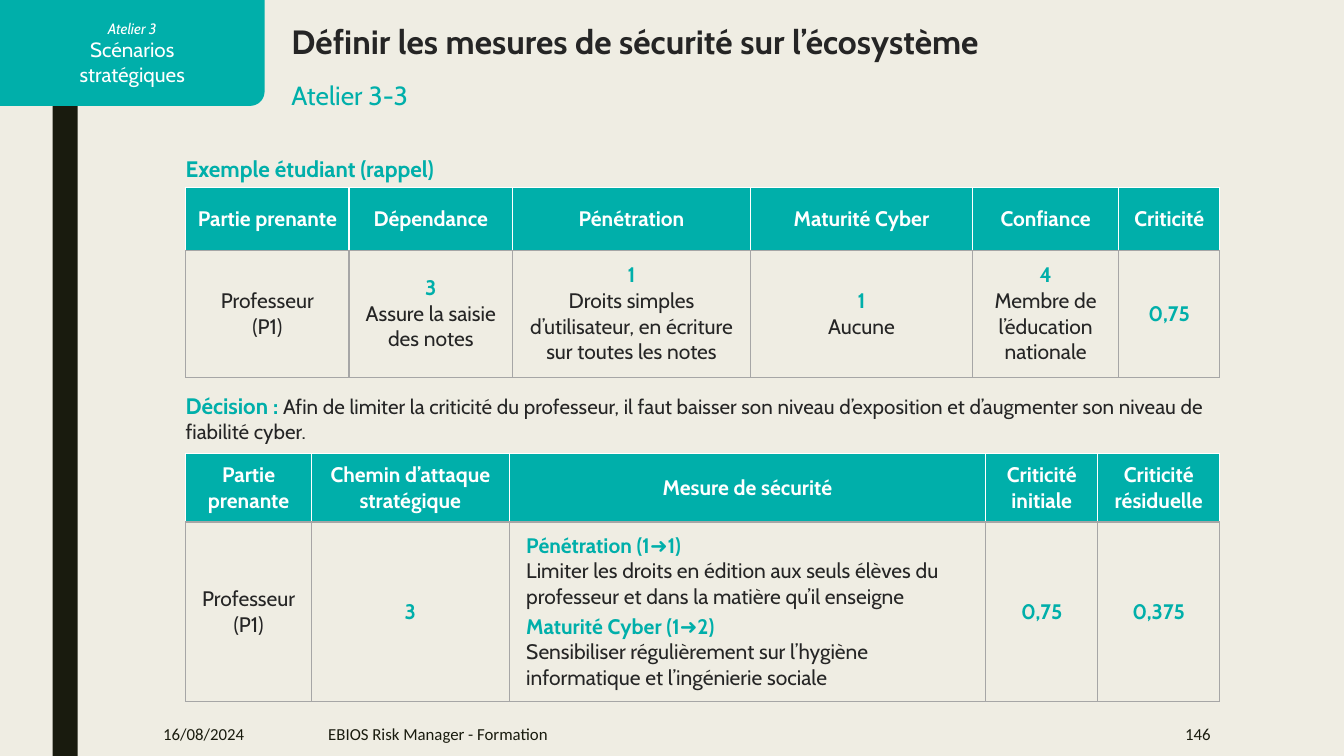
from math import cos, pi, sin

from lxml import etree
from pptx import Presentation
from pptx.dml.color import RGBColor
from pptx.enum.shapes import MSO_SHAPE
from pptx.enum.text import MSO_ANCHOR, MSO_AUTO_SIZE, PP_ALIGN
from pptx.oxml.ns import qn
from pptx.util import Inches, Pt

LEFT, CENTER, RIGHT = PP_ALIGN.LEFT, PP_ALIGN.CENTER, PP_ALIGN.RIGHT
TOP, MIDDLE = MSO_ANCHOR.TOP, MSO_ANCHOR.MIDDLE
NO_AUTOFIT = MSO_AUTO_SIZE.NONE
RECTANGLE = MSO_SHAPE.RECTANGLE

TEAL, INK, BLACK, WHITE, GRAY, CREAM = (
    "00AFAA", "252525", "191B0E", "FFFFFF", "A6A6A6", "EFEDE3")
COLUMNS, ROWS = 160, 90
CONTENT_LEFT, CONTENT_WIDTH = 22.1, 123.1
HEADING_LEFT = 34.7


def color(hex_code):
    return RGBColor.from_string(hex_code)


def span(text, **text_format):
    """A piece of text with the format that sets it apart from its box."""
    return text, text_format


def add_run(paragraph, text, font="Cabin", size=15, fill=INK, bold=False, italic=False):
    for index, line in enumerate(text.split("\n")):
        if index:
            paragraph.add_line_break()
        run = paragraph.add_run()
        run.text = line
        run.font.name, run.font.size = font, Pt(size)
        run.font.bold, run.font.italic = bold, italic
        run.font.color.rgb = color(fill)


def write(frame, paragraphs, align=LEFT, gap=0, **text_format):
    """Write paragraphs, each a string or a list of spans, gap points apart."""
    for index, spans in enumerate(paragraphs):
        paragraph = frame.add_paragraph() if index else frame.paragraphs[0]
        paragraph.alignment = align
        paragraph.space_before = Pt(gap if index else 0)
        for text, own_format in [span(spans)] if isinstance(spans, str) else spans:
            add_run(paragraph, text, **{**text_format, **own_format})


def set_borders(cell, **sides):
    properties = cell._tc.get_or_add_tcPr()
    for index, side in enumerate("LRTB"):
        line = etree.Element(qn("a:ln" + side), w=str(Pt(1)))
        solid = etree.SubElement(line, qn("a:solidFill"))
        etree.SubElement(solid, qn("a:srgbClr"), val=sides.get(side, sides["all"]))
        properties.insert(index, line)


class SlideBuilder:
    """Places elements on a slide, with lengths in grid columns and rows."""

    def __init__(self, presentation):
        self.column = presentation.slide_width / COLUMNS
        self.row = presentation.slide_height / ROWS
        self.slide = presentation.slides.add_slide(presentation.slide_layouts[5])
        background = self.slide.background.fill
        background.solid()
        background.fore_color.rgb = color(CREAM)

    def box(self, left, top, width, height):
        return (round(left * self.column), round(top * self.row),
                round(width * self.column), round(height * self.row))

    def paint(self, shape, fill):
        shape.shadow.inherit = False
        shape.fill.solid()
        shape.fill.fore_color.rgb = color(fill)
        shape.line.fill.background()

    def bar(self, box, fill):
        self.paint(self.slide.shapes.add_shape(RECTANGLE, *self.box(*box)), fill)

    def corner_tab(self, width, height, radius, paragraphs, **text_format):
        """A block in the slide's top left corner, rounded at its lower right."""
        _, _, right, bottom = self.box(0, 0, width, height)
        radius *= self.column
        angles = [step * pi / 24 for step in range(13)]
        arc = [(round(right - radius + radius * cos(angle)),
                round(bottom - radius + radius * sin(angle))) for angle in angles]
        builder = self.slide.shapes.build_freeform(0, 0)
        builder.add_line_segments([(right, 0), *arc, (0, bottom)], close=True)
        tab = builder.convert_to_shape()
        self.paint(tab, TEAL)
        tab.text_frame.vertical_anchor = MIDDLE
        write(tab.text_frame, paragraphs, align=CENTER, **text_format)

    def format_frame(self, frame, paragraphs, inset=0, anchor=TOP, **text_format):
        frame.word_wrap = True
        frame.auto_size = NO_AUTOFIT
        frame.vertical_anchor = anchor
        frame.margin_left = frame.margin_right = Inches(inset)
        frame.margin_top = frame.margin_bottom = Inches(inset / 2)
        write(frame, paragraphs, **text_format)

    def title(self, box, text, **text_format):
        title = self.slide.shapes.title
        title.left, title.top, title.width, title.height = self.box(*box)
        self.format_frame(title.text_frame, [text], **text_format)

    def text(self, box, paragraphs, **text_format):
        shape = self.slide.shapes.add_textbox(*self.box(*box))
        self.format_frame(shape.text_frame, paragraphs, **text_format)

    def table(self, top, heights, weights, headings, values, left_column=None):
        """A heading row above a row of values; weights share out the width."""
        box = self.box(CONTENT_LEFT, top, CONTENT_WIDTH, sum(heights))
        table = self.slide.shapes.add_table(2, len(weights), *box).table
        table.horz_banding = False
        for column, weight in zip(table.columns, weights):
            column.width = round(box[2] * weight / sum(weights))
        for row, height in zip(table.rows, heights):
            row.height = round(height * self.row)
        for index, (heading, value) in enumerate(zip(headings, values)):
            header, body = table.cell(0, index), table.cell(1, index)
            for cell in (header, body):
                cell.vertical_anchor = MIDDLE
                cell.margin_left = cell.margin_right = Inches(0.11)
                cell.margin_top = cell.margin_bottom = Inches(0.06)
            header.fill.solid()
            header.fill.fore_color.rgb = color(TEAL)
            body.fill.background()
            set_borders(header, all=WHITE, B=GRAY)
            set_borders(body, all=GRAY)
            write(header.text_frame, heading.split("\n"), align=CENTER,
                  fill=WHITE, bold=True)
            if index == left_column:
                body.margin_left = Inches(0.17)
                write(body.text_frame, value, gap=3)
            else:
                write(body.text_frame, value, align=CENTER)


def strong(text):
    return span(text, fill=TEAL, bold=True)


def main():
    presentation = Presentation()
    presentation.slide_width, presentation.slide_height = Inches(13.33), Inches(7.5)
    page = SlideBuilder(presentation)

    page.bar((6.25, 0, 3, ROWS), BLACK)
    page.corner_tab(31.5, 12.6, 1.7,
                    [[span("Atelier 3", size=10.7, italic=True)],
                     "Scénarios", "stratégiques"],
                    size=14.7, fill=WHITE)
    page.title((HEADING_LEFT, 2.5, 121, 4.8),
               "Définir les mesures de sécurité sur l’écosystème", size=24, bold=True)
    page.text((HEADING_LEFT, 9.5, 112.7, 3.7), ["Atelier 3-3"], size=18.7, fill=TEAL)

    page.text((CONTENT_LEFT, 18.5, 81, 3.2), [[strong("Exemple étudiant (rappel)")]],
              size=16)
    stakeholder = ["Professeur", "(P1)"]
    page.table(
        22.3, (7.5, 15.1), (1.62, 1.62, 2.36, 2.2, 1.45, 1),
        ["Partie prenante", "Dépendance", "Pénétration", "Maturité Cyber",
         "Confiance", "Criticité"],
        [stakeholder,
         [[strong("3")], "Assure la saisie des notes"],
         [[strong("1")], "Droits simples d’utilisateur, en écriture sur toutes les notes"],
         [[strong("1")], "Aucune"],
         [[strong("4")], "Membre de l’éducation nationale"],
         [[strong("0,75")]]])

    page.text((CONTENT_LEFT, 46.7, CONTENT_WIDTH, 6.2),
              [[span("Décision :", size=16, fill=TEAL, bold=True),
                span(" Afin de limiter la criticité du professeur, il faut baisser son "
                     "niveau d’exposition et d’augmenter son niveau de fiabilité cyber.")]],
              size=14.7)
    page.table(
        54, (8.15, 21.35), (1.25, 1.96, 4.73, 1.11, 1.21),
        ["Partie\nprenante", "Chemin d’attaque stratégique", "Mesure de sécurité",
         "Criticité\ninitiale", "Criticité résiduelle"],
        [stakeholder,
         [[strong("3")]],
         [[strong("Pénétration (1➜1)\n"),
           span("Limiter les droits en édition aux seuls élèves du professeur "
                "et dans la matière qu’il enseigne")],
          [strong("Maturité Cyber (1➜2)\n"),
           span("Sensibiliser régulièrement sur l’hygiène informatique "
                "et l’ingénierie sociale")]],
         [[strong("0,75")]],
         [[strong("0,375")]]],
        left_column=2)

    for left, width, text, align in [
            (18.25, 15.8, "16/08/2024", LEFT),
            (37.9, 82.5, "EBIOS Risk Manager - Formation", LEFT),
            (124.3, 21, "146", RIGHT)]:
        page.text((left, 84.7, width, 5.3), [text], inset=0.1, anchor=MIDDLE,
                  align=align, font="Calibri", size=12, fill=BLACK)

    presentation.save("out.pptx")


if __name__ == "__main__":
    main()
